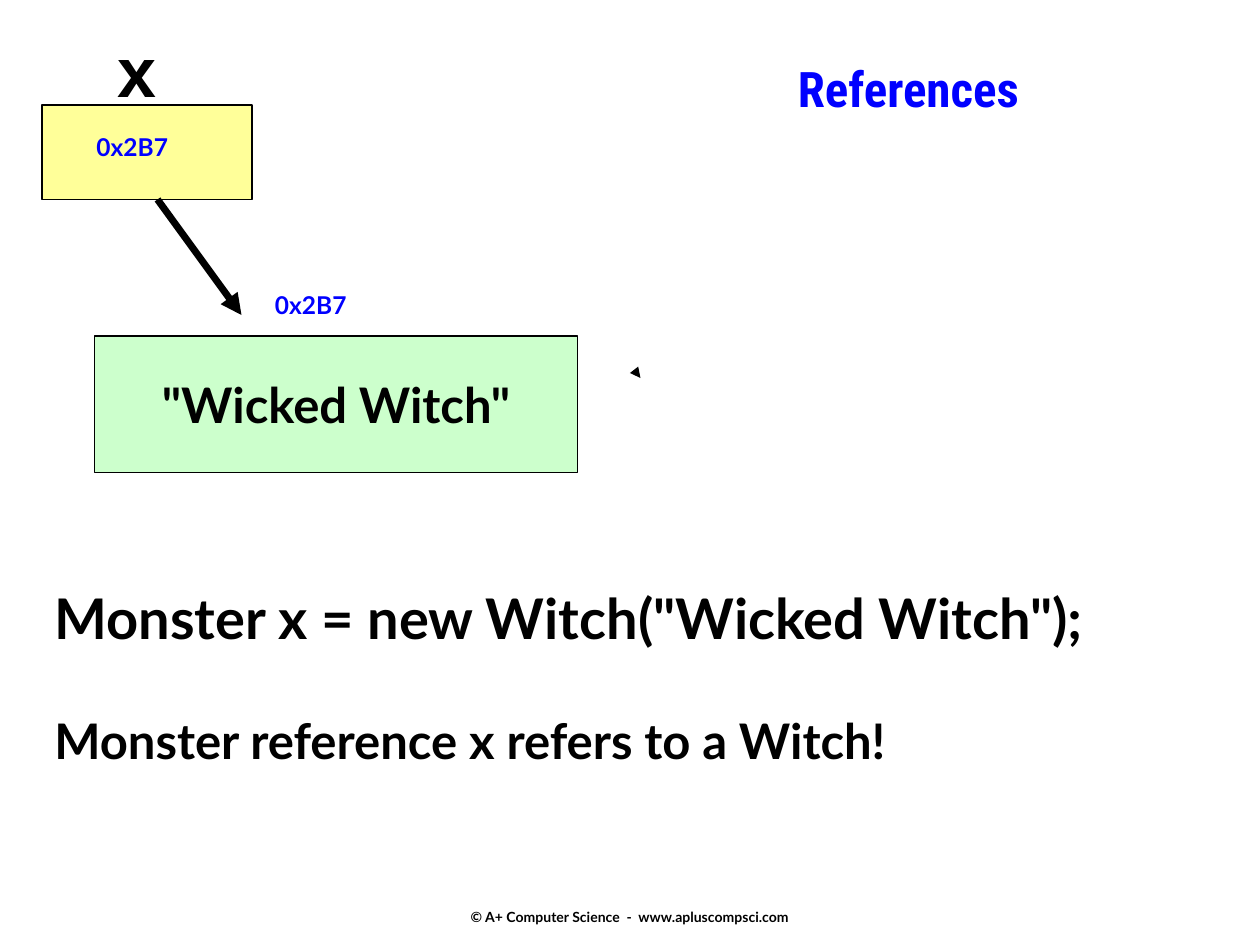
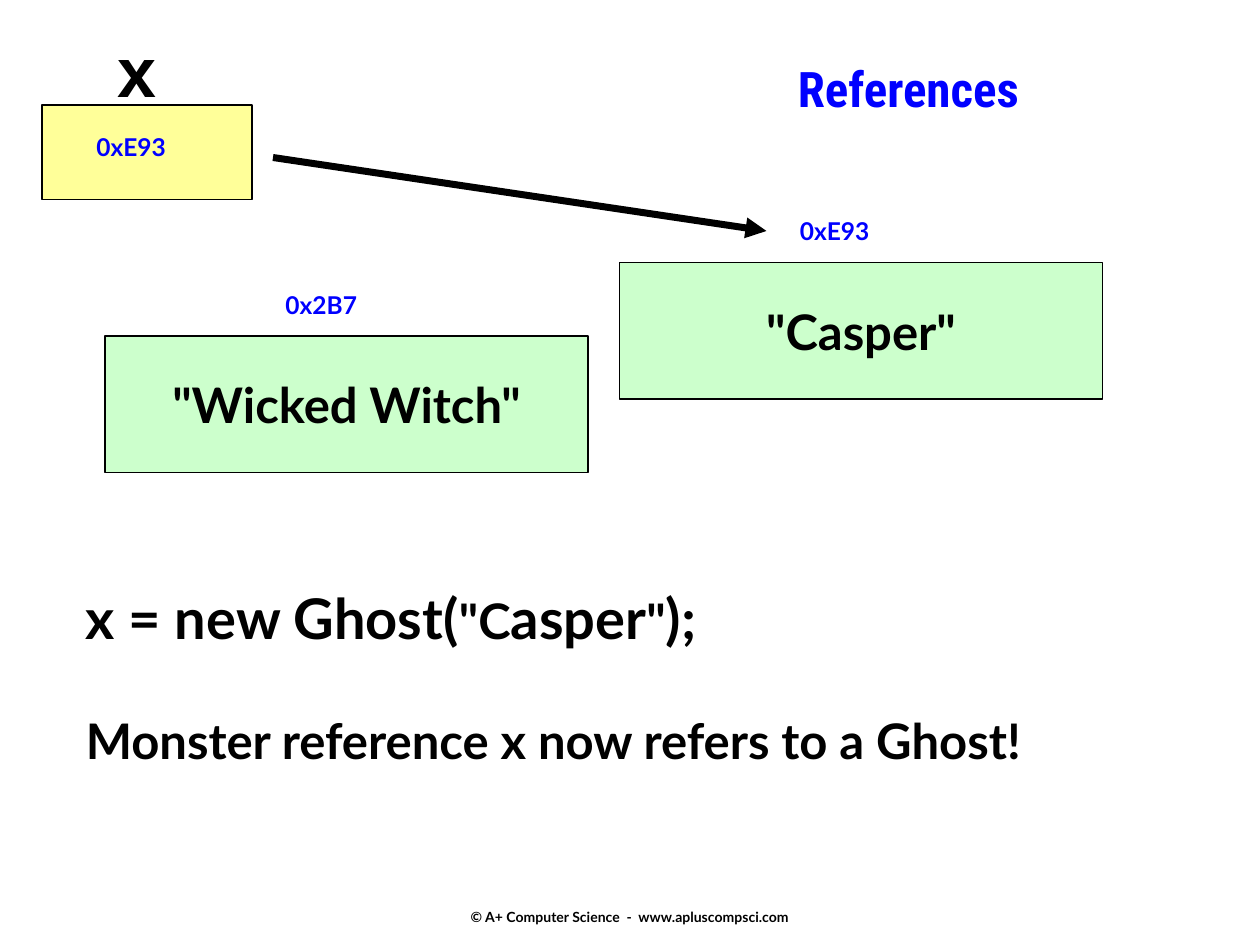
from dataclasses import dataclass

from lxml.etree import SubElement
from pptx import Presentation
from pptx.dml.color import RGBColor as RGB
from pptx.enum.shapes import MSO_CONNECTOR as Connector, MSO_SHAPE as Shape
from pptx.enum.text import MSO_ANCHOR as Anchor, MSO_AUTO_SIZE as AutoSize, PP_ALIGN as Align
from pptx.oxml.ns import qn
from pptx.util import Pt


@dataclass(frozen=True)
class Theme:
    ink: RGB = RGB(0, 0, 0)
    accent: RGB = RGB(0, 0, 255)
    reference_fill: RGB = RGB(255, 255, 153)
    object_fill: RGB = RGB(204, 255, 204)
    body_font: str = "Lato"
    title_font: str = "Roboto Condensed"
    variable_font: str = "Arial"
    variable_size: int = 40
    code_size: int = 32
    text_size: int = 28
    address_size: int = 14
    footer_size: int = 8
    outline: float = 0.75
    arrow: float = 4
    statement_gap: int = 34


THEME = Theme()
FRAME = {"margin_left": Pt(7.2), "margin_right": Pt(7.2),
         "margin_top": Pt(3.6), "margin_bottom": Pt(3.6)}
GROWING = {"word_wrap": True, "auto_size": AutoSize.SHAPE_TO_FIT_TEXT}
UNWRAPPED = {"word_wrap": False, "auto_size": AutoSize.NONE}


def apply_format(target, values):
    for attribute, value in values.items():
        setattr(target, attribute, value)


def write_runs(paragraph, runs, color=THEME.ink, font=THEME.body_font):
    for words, size in runs:
        run = paragraph.add_run()
        run.text = words
        apply_format(run.font, {"size": Pt(size), "name": font, "bold": True})
        run.font.color.rgb = color


def add_label(slide, box, words, size, frame_format=GROWING, align=Align.LEFT, **style):
    label = slide.shapes.add_textbox(*map(Pt, box)).text_frame
    apply_format(label, FRAME | frame_format)
    label.paragraphs[0].alignment = align
    write_runs(label.paragraphs[0], [(words, size)], **style)


def add_address(slide, left, top, address):
    add_label(slide, (left, top, 66, 24.5), address, THEME.address_size, color=THEME.accent)


def add_cell(slide, box, fill):
    cell = slide.shapes.add_shape(Shape.RECTANGLE, *map(Pt, box))
    cell.shadow.inherit = False
    cell.fill.solid()
    cell.fill.fore_color.rgb = fill
    cell.line.color.rgb = THEME.ink
    cell.line.width = Pt(THEME.outline)
    return cell


def add_arrow(slide, start, end, width):
    arrow = slide.shapes.add_connector(Connector.STRAIGHT, *map(Pt, start + end))
    arrow.line.color.rgb = THEME.ink
    arrow.line.width = Pt(width)
    SubElement(arrow.line._get_or_add_ln(), qn("a:tailEnd"), type="triangle")
    SubElement(arrow._element.spPr, qn("a:effectLst"))


def add_heap_object(slide, left, top, value, address):
    cell = add_cell(slide, (left, top, 276, 78), THEME.object_fill)
    apply_format(cell.text_frame, FRAME | UNWRAPPED | {"vertical_anchor": Anchor.MIDDLE})
    paragraph = cell.text_frame.paragraphs[0]
    paragraph.alignment = Align.CENTER
    write_runs(paragraph, [(value, THEME.text_size)])
    add_address(slide, left + 96, top - 30, address)


def add_reference(slide, left, top, variable, address):
    add_cell(slide, (left, top, 120, 54), THEME.reference_fill)
    add_address(slide, left + 24, top + 12, address)
    add_label(slide, (left + 36, top - 48, 42, 55.5), variable, THEME.variable_size,
              font=THEME.variable_font)


def add_statement(slide, box, code, meaning):
    statement = slide.shapes.add_textbox(*map(Pt, box)).text_frame
    apply_format(statement, FRAME | GROWING)
    write_runs(statement.paragraphs[0], code)
    explanation = statement.add_paragraph()
    explanation.space_before = Pt(THEME.statement_gap)
    write_runs(explanation, [(meaning, THEME.text_size)])


def add_title_and_footer(slide):
    add_label(slide, (354, 30, 330, 54), "References", THEME.text_size, UNWRAPPED,
              Align.CENTER, color=THEME.accent, font=THEME.title_font)
    add_label(slide, (246, 493, 228, 36), "© A+ Computer Science  -  www.apluscompsci.com",
              THEME.footer_size,
              UNWRAPPED | {"vertical_anchor": Anchor.BOTTOM, "margin_bottom": 0},
              Align.CENTER)


def build_reference_slide(deck, address, heap, arrows, statement):
    slide = deck.slides.add_slide(deck.slide_layouts[6])
    add_title_and_footer(slide)
    for heap_object in heap:
        add_heap_object(slide, *heap_object)
    add_reference(slide, 24, 60, "x", address)
    for arrow in arrows:
        add_arrow(slide, *arrow)
    add_statement(slide, *statement)


def main():
    deck = Presentation()
    apply_format(deck, {"slide_width": Pt(720), "slide_height": Pt(540)})
    code, text = THEME.code_size, THEME.text_size

    build_reference_slide(
        deck, "0x2B7",
        heap=[(54, 192, '"Wicked Witch"', "0x2B7")],
        arrows=[((90, 114), (138, 180), THEME.arrow),
                ((365.8, 215.75), (366, 216), THEME.outline)],
        statement=((24, 330, 696, 113),
                   [('Monster x = new Witch("Wicked Witch");', code)],
                   "Monster reference x refers to a Witch!"))

    build_reference_slide(
        deck, "0xE93",
        heap=[(60, 192, '"Wicked Witch"', "0x2B7"), (354, 150, '"Casper"', "0xE93")],
        arrows=[((156, 90), (438, 132), THEME.arrow)],
        statement=((42, 330, 660, 113),
                   [("x = new Ghost(", code), ('"C', text), ("asper", code),
                    ('"', text), (");", code)],
                   "Monster reference x now refers to a Ghost!"))

    deck.save("out.pptx")


if __name__ == "__main__":
    main()
